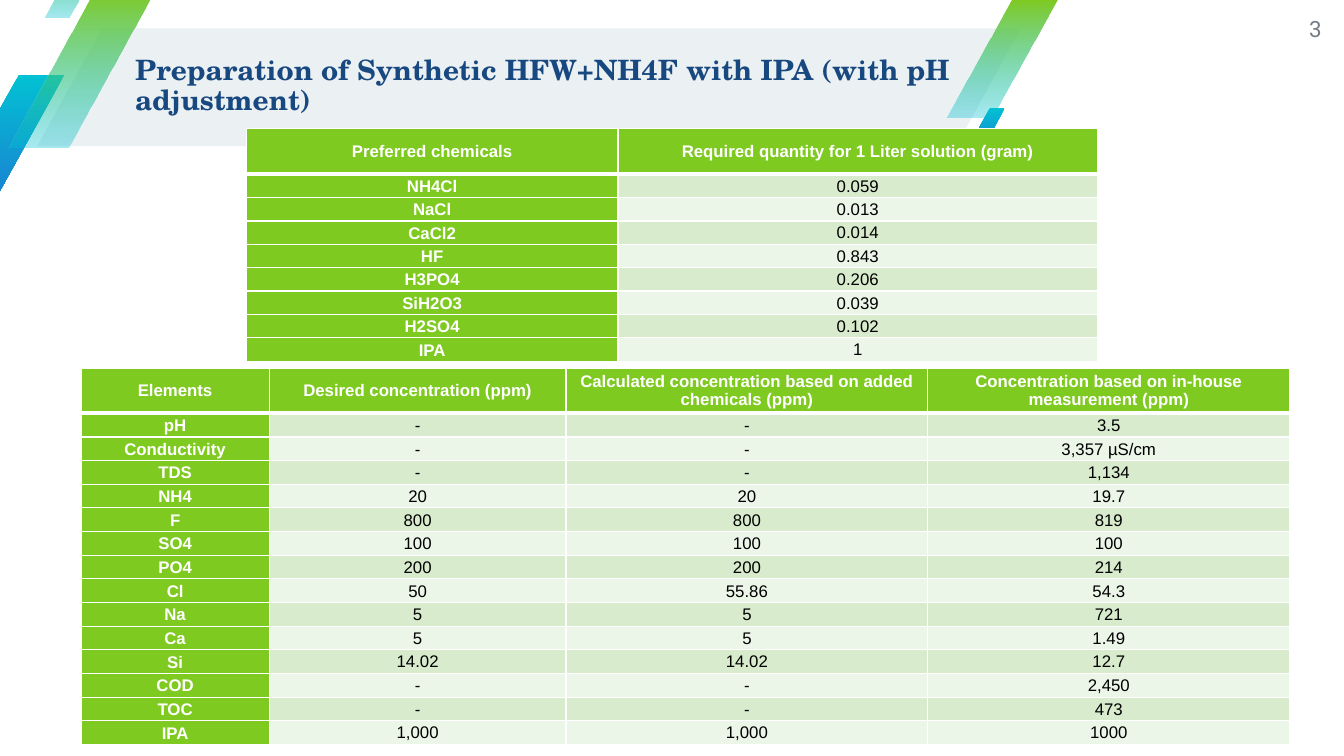
import pptx
import pptx.util
import pptx.dml.color
import pptx.enum.shapes
import pptx.enum.text
import pptx.oxml
import pptx.oxml.ns

Pt = pptx.util.Pt
ALIGN = pptx.enum.text.PP_ALIGN
MIDDLE = pptx.enum.text.MSO_ANCHOR.MIDDLE

COLORS = {
    "white": "FFFFFF", "black": "000000", "navy": "184880", "gray": "757C83",
    "pale": "EBF0F3", "green": "7FCA20", "cyan": "02C1D3", "blue": "1985D2",
    "odd": "D8ECCD", "even": "ECF6E8",
}
LIME = ("green", "cyan", 34)
AQUA = ("cyan", "blue", 100)

# left, top, width, height, slant, fill
BANDS = [
    (26.6, 20.2, 702.7, 84.2, 0.55, "pale"),
    (-33.1, 53.3, 79.2, 84.2, 0.59, AQUA),
    (676.1, 0, 79.2, 84.2, 0.59, LIME),
    (5.8, -7.2, 105.1, 112.3, 0.59, LIME),
    (31.7, -34.6, 43.9, 46.8, 0.59, LIME),
    (691.9, 77, 25.9, 28.1, 0.59, AQUA),
]

RECIPE = [
    ("Preferred chemicals", "Required quantity for 1 Liter solution (gram)"),
    ("NH4Cl", "0.059"),
    ("NaCl", "0.013"),
    ("CaCl2", "0.014"),
    ("HF", "0.843"),
    ("H3PO4", "0.206"),
    ("SiH2O3", "0.039"),
    ("H2SO4", "0.102"),
    ("IPA", "1"),
]

RESULTS = [
    ("Elements", "Desired concentration (ppm)",
     "Calculated concentration based on added chemicals (ppm)",
     "Concentration based on in-house measurement (ppm)"),
    ("pH", "-", "-", "3.5"),
    ("Conductivity", "-", "-", "3,357 µS/cm"),
    ("TDS", "-", "-", "1,134"),
    ("NH4", "20", "20", "19.7"),
    ("F", "800", "800", "819"),
    ("SO4", "100", "100", "100"),
    ("PO4", "200", "200", "214"),
    ("Cl", "50", "55.86", "54.3"),
    ("Na", "5", "5", "721"),
    ("Ca", "5", "5", "1.49"),
    ("Si", "14.02", "14.02", "12.7"),
    ("COD", "-", "-", "2,450"),
    ("TOC", "-", "-", "473"),
    ("IPA", "1,000", "1,000", "1000"),
]


def rgb(name):
    return pptx.dml.color.RGBColor.from_string(COLORS[name])


def write(frame, text, size=12, font="Arial", color="black", bold=False,
          align=ALIGN.CENTER, spacing=1.0):
    para = frame.paragraphs[0]
    para.alignment = align
    para.line_spacing = spacing
    run = para.add_run()
    run.text = text
    run.font.size = Pt(size)
    run.font.name = font
    run.font.bold = bold
    run.font.color.rgb = rgb(color)


def label(slide, box, text, **style):
    frame = slide.shapes.add_textbox(*map(Pt, box)).text_frame
    frame.word_wrap = True
    frame.vertical_anchor = MIDDLE
    frame.margin_left = frame.margin_right = 0
    frame.margin_top = frame.margin_bottom = 0
    write(frame, text, **style)


def fade(shape, first, last, alpha):
    """Fill from top to bottom; alpha is the opacity of the last colour."""
    shape.fill.gradient()
    shape.fill.gradient_angle = 270
    stops = shape.fill.gradient_stops
    for stop, name, pos in zip(stops, (first, last), (0, 1)):
        stop.color.rgb = rgb(name)
        stop.position = pos
    if alpha < 100:
        tint = shape._element.xpath(".//a:gs/a:srgbClr")[-1]
        tint.append(pptx.oxml.parse_xml(
            f'<a:alpha {pptx.oxml.ns.nsdecls("a")} val="{alpha * 1000}"/>'))


def band(slide, left, top, width, height, slant, fill):
    shape = slide.shapes.add_shape(
        pptx.enum.shapes.MSO_SHAPE.PARALLELOGRAM,
        Pt(left), Pt(top), Pt(width), Pt(height))
    shape.adjustments[0] = slant
    shape.shadow.inherit = False
    shape.line.fill.background()
    if isinstance(fill, tuple):
        fade(shape, *fill)
    else:
        shape.fill.solid()
        shape.fill.fore_color.rgb = rgb(fill)


def border(cell, top, bottom):
    """Draw white edges, 1 pt wide at the sides; must precede the fill."""
    props = cell._tc.get_or_add_tcPr()
    for side, width in (("L", 1), ("R", 1), ("T", top), ("B", bottom)):
        props.append(pptx.oxml.parse_xml(
            f'<a:ln{side} {pptx.oxml.ns.nsdecls("a")} w="{Pt(width)}">'
            f'<a:solidFill><a:srgbClr val="{COLORS["white"]}"/></a:solidFill>'
            f'</a:ln{side}>'))


def grid(slide, left, top, widths, step, rows, head=32.4):
    """Add a table with a green header row and a green first column."""
    height = head + step * (len(rows) - 1)
    table = slide.shapes.add_table(
        len(rows), len(widths), Pt(left), Pt(top),
        Pt(sum(widths)), Pt(height)).table
    for col, width in zip(table.columns, widths):
        col.width = Pt(width)
    for r, texts in enumerate(rows):
        table.rows[r].height = Pt(step if r else head)
        for c, text in enumerate(texts):
            cell = table.cell(r, c)
            key = r == 0 or c == 0
            cell.vertical_anchor = MIDDLE
            cell.margin_left = cell.margin_right = Pt(2 if key else 0.7)
            cell.margin_top = Pt(0 if key else 0.7)
            cell.margin_bottom = 0
            border(cell, 3 if r == 1 else 1, 3 if r == 0 else 1)
            cell.fill.solid()
            cell.fill.fore_color.rgb = rgb(
                "green" if key else "odd" if r % 2 else "even")
            write(cell.text_frame, text, bold=key,
                  color="white" if key else "black",
                  spacing=1.07 if r and key else 1.0)


def main():
    deck = pptx.Presentation()
    deck.slide_width, deck.slide_height = Pt(960), Pt(540)
    slide = deck.slides.add_slide(deck.slide_layouts[6])
    for item in BANDS:
        band(slide, *item)
    label(slide, (96.5, 18.7, 632.9, 85.7),
          "Preparation of Synthetic HFW+NH4F with IPA (with pH adjustment)",
          size=20, font="TeX Gyre Schola", color="navy", bold=True,
          align=ALIGN.LEFT, spacing=0.9)
    label(slide, (898.6, 0, 45.4, 41), "3", size=16, font="Roboto",
          color="gray", align=ALIGN.RIGHT)
    grid(slide, 175.9, 92, (265.6, 342.4), 16.7, RECIPE)
    grid(slide, 57.8, 262.8, (134.6, 211.9, 258.5, 258.5), 16.9, RESULTS)
    deck.save("out.pptx")


if __name__ == "__main__":
    main()
